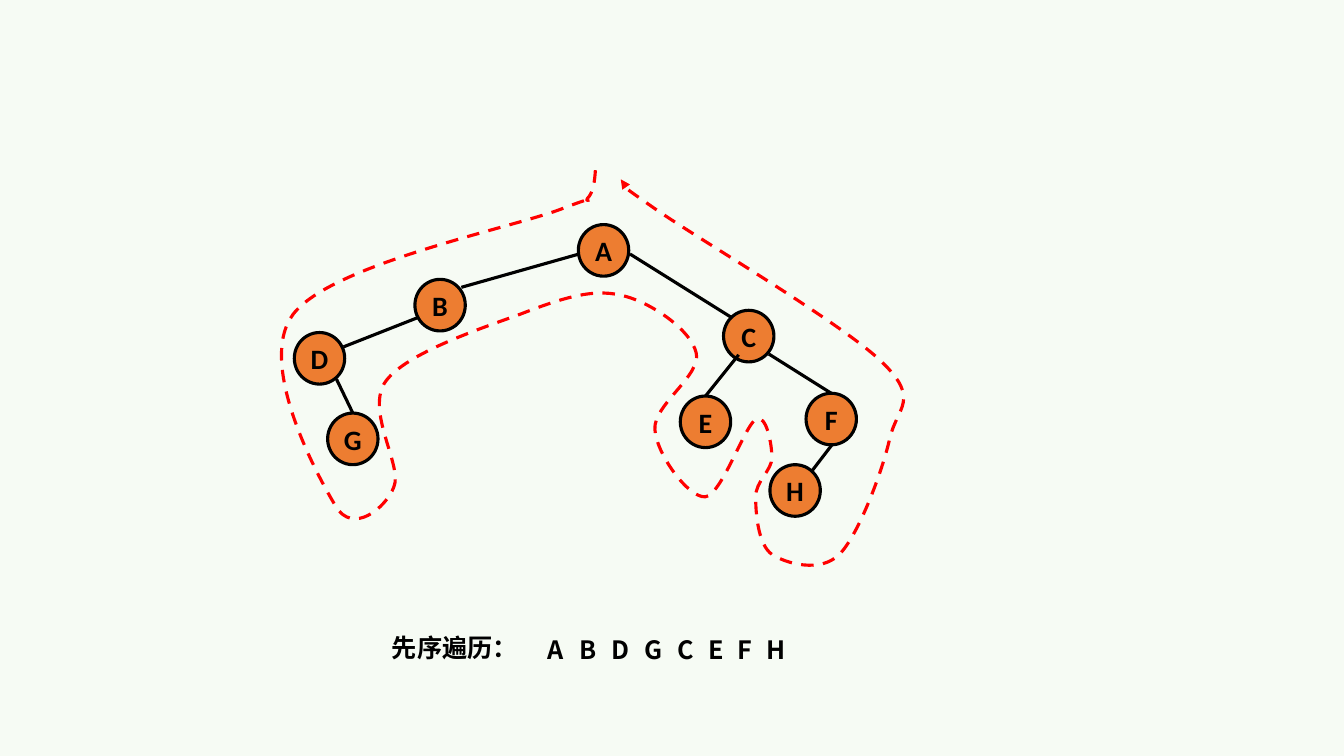
from dataclasses import dataclass

from lxml.etree import SubElement
from pptx import Presentation
from pptx.dml.color import RGBColor
from pptx.enum.dml import MSO_LINE
from pptx.enum.shapes import MSO_CONNECTOR, MSO_SHAPE
from pptx.enum.text import MSO_ANCHOR, MSO_AUTO_SIZE, PP_ALIGN
from pptx.oxml.ns import qn
from pptx.shapes.autoshape import Shape
from pptx.slide import Slide
from pptx.util import Cm, Pt

BACKGROUND = "F6FBF4"
ORANGE = "ED7D31"
BLACK = "000000"
RED = "FF0000"
NODE_FONT = "Calibri"
TEXT_FONT = "Noto Sans CJK SC"
NODE_WIDTH, NODE_HEIGHT = 1.27, 1.3
TOP_SITE = 0


@dataclass(frozen=True)
class Node:
    letter: str
    left: float
    top: float


@dataclass(frozen=True)
class Edge:
    start: tuple[float, float]
    end: tuple[float, float]
    joined_node: str = ""  # node whose top the edge is glued to


@dataclass(frozen=True)
class Letter:
    text: str
    width: float


NODES = [
    Node("A", 14.58, 5.66),
    Node("B", 10.46, 7.04),
    Node("C", 18.24, 7.82),
    Node("D", 7.42, 8.38),
    Node("G", 8.26, 10.41),
    Node("E", 17.15, 9.98),
    Node("F", 20.32, 9.91),
    Node("H", 19.41, 11.71),
]
EDGES = [
    Edge((14.6, 6.4), (11.63, 7.24)),
    Edge((15.88, 6.4), (18.44, 8.0)),
    Edge((10.54, 8.0), (8.66, 8.74)),
    Edge((8.48, 9.55), (8.89, 10.41), "G"),
    Edge((18.62, 8.94), (17.78, 9.98), "E"),
    Edge((19.38, 8.92), (20.88, 9.91), "F"),
    Edge((20.98, 11.2), (20.45, 11.89)),
]
PREORDER = [
    Letter("A", 0.94), Letter("B", 0.94), Letter("D", 0.97), Letter("G", 0.97),
    Letter("C", 0.91), Letter("E", 0.86), Letter("F", 0.86), Letter("H", 0.99),
]
PREORDER_LEFT, PREORDER_TOP, LETTER_OVERLAP = 13.54, 15.85, 0.13

# Walk around the tree in hundredths of a centimetre:
# a start point, then two control points and an end point per curve.
WALK_START = (1501, 429)
WALK_CURVES = [
    ((1499, 457), (1496, 485), (1481, 500)),
    ((1466, 518), (1542, 478), (1417, 526)),
    ((1293, 574), (836, 665), (739, 792)),
    ((645, 917), (803, 1204), (846, 1275)),
    ((889, 1349), (973, 1280), (993, 1227)),
    ((1016, 1173), (919, 1034), (973, 960)),
    ((1026, 889), (1212, 828), (1311, 792)),
    ((1410, 754), (1491, 726), (1565, 744)),
    ((1638, 759), (1742, 831), (1755, 889)),
    ((1770, 945), (1646, 1021), (1651, 1082)),
    ((1654, 1143), (1735, 1255), (1778, 1252)),
    ((1819, 1247), (1877, 1074), (1905, 1057)),
    ((1933, 1041), (1946, 1123), (1946, 1153)),
    ((1946, 1186), (1905, 1212), (1905, 1252)),
    ((1905, 1290), (1910, 1372), (1946, 1397)),
    ((1981, 1420), (2068, 1445), (2116, 1397)),
    ((2164, 1349), (2225, 1186), (2243, 1105)),
    ((2261, 1026), (2322, 1008), (2223, 912)),
    ((2123, 815), (1760, 602), (1651, 526)),
    ((1542, 450), (1580, 465), (1565, 452)),
]


def color(value: str) -> RGBColor:
    return RGBColor.from_string(value)


def write_text(shape: Shape, text: str, font_name: str, size: int,
               alignment: PP_ALIGN) -> None:
    frame = shape.text_frame
    frame.word_wrap = False
    frame.vertical_anchor = MSO_ANCHOR.MIDDLE
    para = frame.paragraphs[0]
    para.text = text
    para.alignment = alignment
    font = para.font
    font.name, font.size, font.bold = font_name, Pt(size), True
    font.color.rgb = color(BLACK)
    properties = para._p.pPr.find(qn("a:defRPr"))
    SubElement(properties, qn("a:ea"), typeface=font_name)


def add_node(page: Slide, node: Node) -> Shape:
    circle = page.shapes.add_shape(MSO_SHAPE.OVAL, Cm(node.left), Cm(node.top),
                                   Cm(NODE_WIDTH), Cm(NODE_HEIGHT))
    circle.shadow.inherit = False
    circle.fill.solid()
    circle.fill.fore_color.rgb = color(ORANGE)
    circle.line.color.rgb = color(BLACK)
    circle.line.width = Pt(2.25)
    write_text(circle, node.letter, NODE_FONT, 20, PP_ALIGN.CENTER)
    return circle


def add_edge(page: Slide, edge: Edge, circles: dict[str, Shape]) -> None:
    points = [Cm(value) for value in edge.start + edge.end]
    line = page.shapes.add_connector(MSO_CONNECTOR.STRAIGHT, *points)
    if edge.joined_node:
        line.end_connect(circles[edge.joined_node], TOP_SITE)
    line.line.color.rgb = color(BLACK)
    line.line.width = Pt(2.25)
    SubElement(line._element.spPr, qn("a:effectLst"))


def add_label(page: Slide, text: str, left: float, top: float, width: float,
              alignment: PP_ALIGN) -> None:
    box = page.shapes.add_textbox(Cm(left), Cm(top), Cm(width), Cm(1.02))
    write_text(box, text, TEXT_FONT, 18, alignment)
    box.text_frame.auto_size = MSO_AUTO_SIZE.SHAPE_TO_FIT_TEXT


def add_walk(page: Slide) -> None:
    """Draw the dashed arrow, turning each three segments into one curve."""
    builder = page.shapes.build_freeform(*WALK_START, scale=Cm(0.01))
    builder.add_line_segments([point for curve in WALK_CURVES for point in curve],
                              close=False)
    walk = builder.convert_to_shape()
    outline = next(walk._element.iter(qn("a:path")))
    segments = outline.findall(qn("a:lnTo"))
    for first in range(0, len(segments), 3):
        curve = SubElement(outline, qn("a:cubicBezTo"))
        for segment in segments[first:first + 3]:
            curve.append(segment[0])
            outline.remove(segment)
    walk.shadow.inherit = False
    walk.fill.background()
    walk.line.color.rgb = color(RED)
    walk.line.width = Pt(2.25)
    walk.line.dash_style = MSO_LINE.DASH
    SubElement(walk._element.spPr.find(qn("a:ln")), qn("a:tailEnd"), type="triangle")


def main() -> None:
    deck = Presentation()
    deck.slide_width, deck.slide_height = Cm(33.88), Cm(19.05)
    page = deck.slides.add_slide(deck.slide_layouts[6])
    page.background.fill.solid()
    page.background.fill.fore_color.rgb = color(BACKGROUND)

    circles = {node.letter: add_node(page, node) for node in NODES}
    for edge in EDGES:
        add_edge(page, edge, circles)

    add_label(page, "先序遍历：", 9.63, 15.8, 3.68, PP_ALIGN.LEFT)
    left = PREORDER_LEFT
    for letter in PREORDER:
        add_label(page, letter.text, left, PREORDER_TOP, letter.width, PP_ALIGN.CENTER)
        left += letter.width - LETTER_OVERLAP
    add_walk(page)
    deck.save("out.pptx")


if __name__ == "__main__":
    main()
